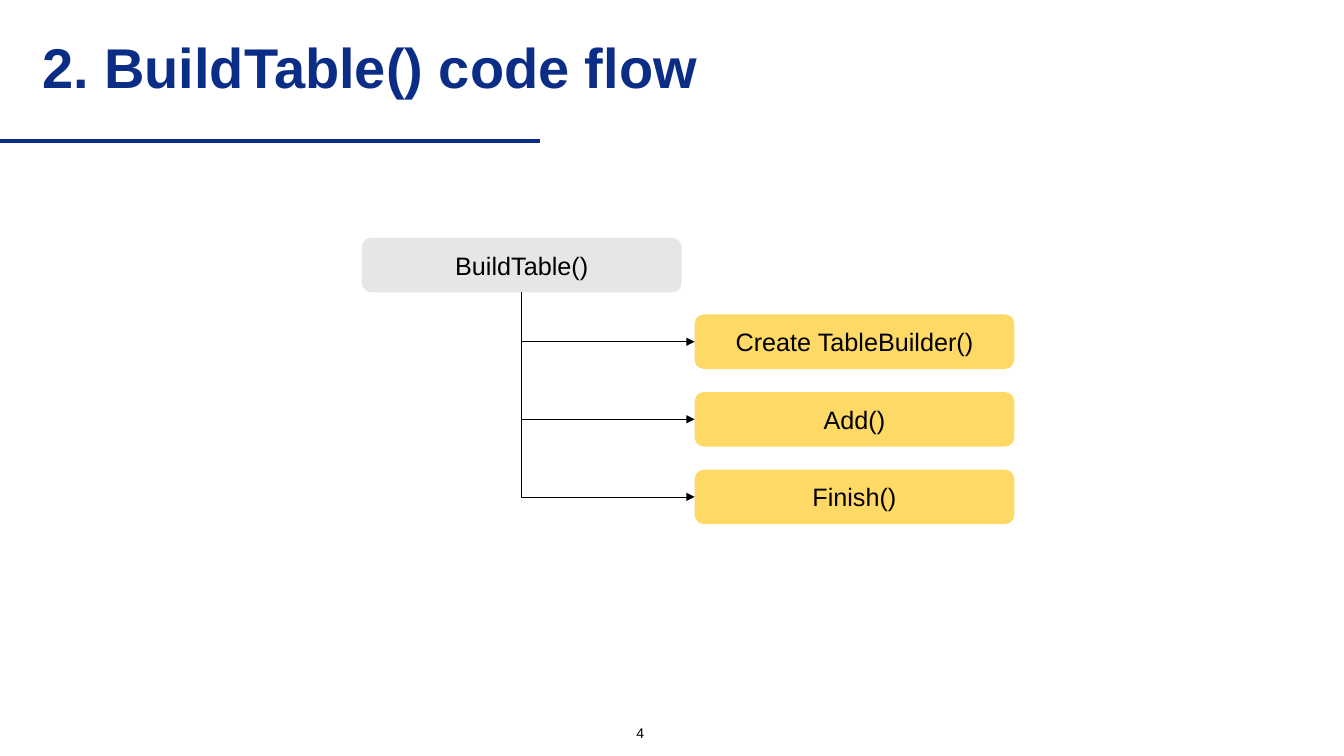
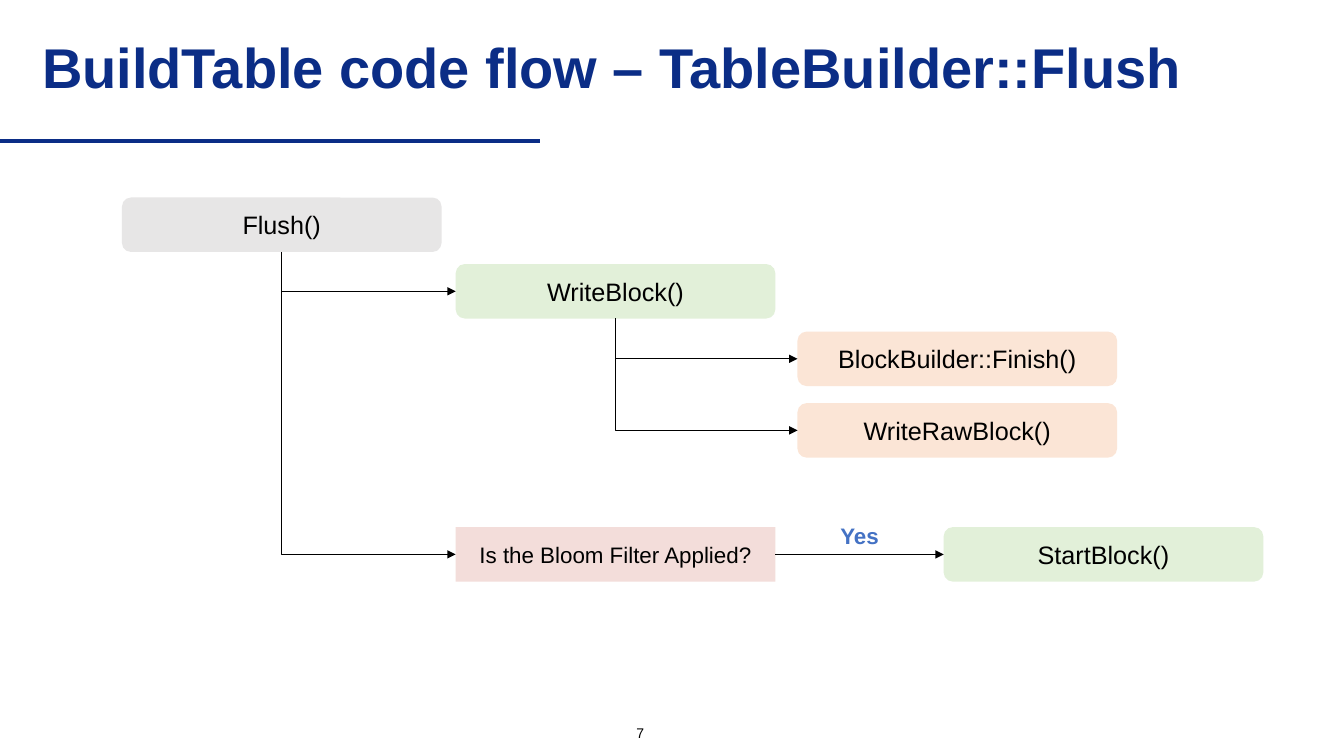
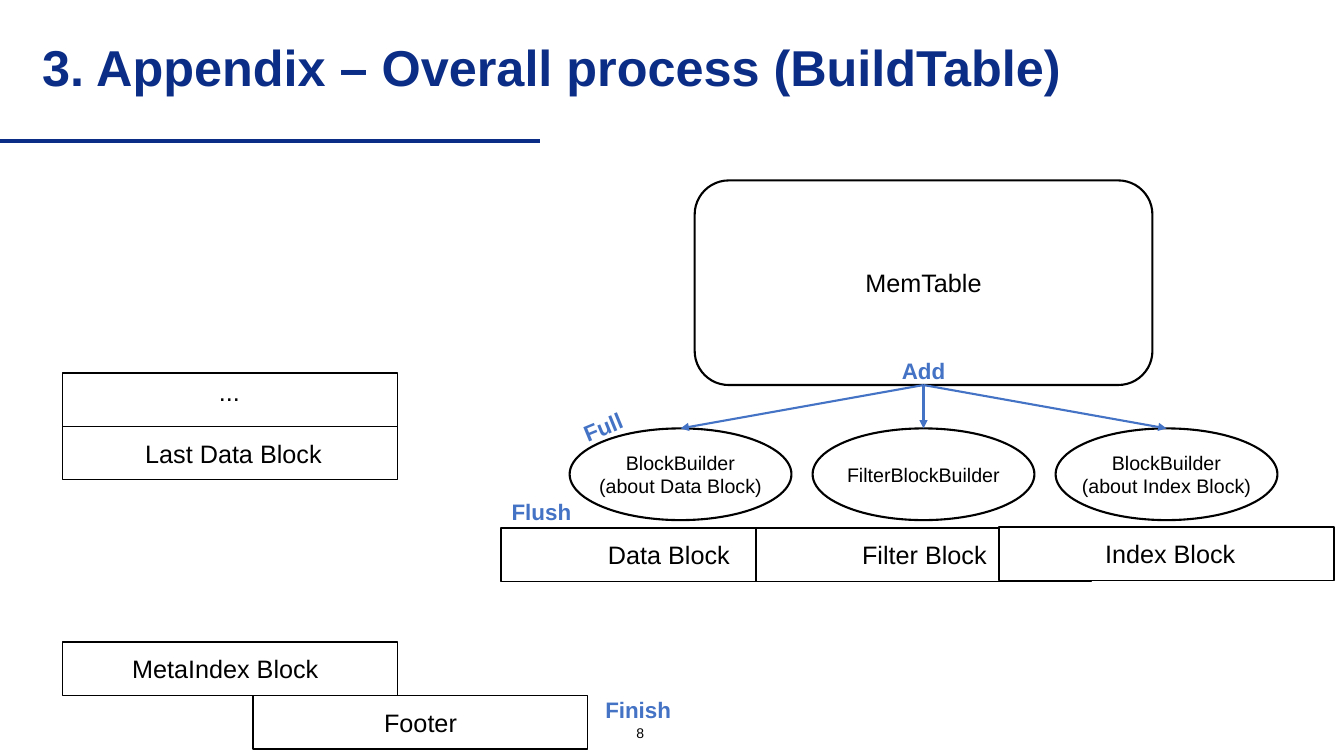
import pptx
import pptx.util
import pptx.dml.color
import pptx.enum.shapes
import pptx.enum.text
import pptx.oxml.ns

SHAPE = pptx.enum.shapes.MSO_SHAPE
CONNECTOR = pptx.enum.shapes.MSO_CONNECTOR
ALIGN = pptx.enum.text.PP_ALIGN
ANCHOR = pptx.enum.text.MSO_ANCHOR
qn = pptx.oxml.ns.qn

PX = 9144
FONT = "Arial"
NAVY, BLUE, BLACK, WHITE = "0B2D86", "4472C4", "000000", "FFFFFF"
GREY, YELLOW, GREEN, PEACH, PINK = "E7E6E6", "FFD966", "E2F0D9", "FBE5D6", "F3DDDA"
TOP, LEFT, BOTTOM, RIGHT = range(4)

STEP_SIZE = (317, 54)
BLOCK_SIZE = (332, 53)
BUILDER_SIZE = (220, 91)

BUILD_STEPS = ["Create TableBuilder()", "Add()", "Finish()"]
FLUSH_STEPS = [
    ("Flush()", 121, 196, GREY, None),
    ("WriteBlock()", 452, 262, GREEN, "Flush()"),
    ("BlockBuilder::Finish()", 791, 329, PEACH, "WriteBlock()"),
    ("WriteRawBlock()", 791, 400, PEACH, "WriteBlock()"),
]
BUILDERS = [
    "BlockBuilder\n(about Data Block)",
    "FilterBlockBuilder",
    "BlockBuilder\n(about Index Block)",
]
BLOCKS = [
    ("Data Block", 497, 524, 106, 0),
    ("Last Data Block", 62, 423, 82, 0),
    ("...", 62, 370, 155, 16),
    ("Filter Block", 750, 524, 105, 0),
    ("MetaIndex Block", 62, 637, 69, 0),
    ("Index Block", 991, 523, 105, 0),
    ("Footer", 251, 690, 130, 0),
]
PROCESS_LABELS = [
    ("Add", 884, 349, 64, 0),
    ("Full", 568, 405, 60, -22.3),
    ("Flush", 497, 489, 80, 0),
    ("Finish", 590, 685, 86, 0),
]


def px(*lengths):
    return [pptx.util.Emu(round(length * PX)) for length in lengths]


def color(code):
    return pptx.dml.color.RGBColor.from_string(code)


def write(box, text, size=18, ink=BLACK, bold=False, align=ALIGN.CENTER,
          wrap=True, spacing=None, inset=(0, 0, 0, 0)):
    frame = box.text_frame
    frame.word_wrap = wrap
    frame.vertical_anchor = ANCHOR.MIDDLE
    (frame.margin_left, frame.margin_top,
     frame.margin_right, frame.margin_bottom) = px(*inset)
    frame.text = text
    for para in frame.paragraphs:
        para.alignment = align
        if spacing:
            para.line_spacing = spacing
        for span in para.runs:
            span.font.name = FONT
            span.font.size = pptx.util.Pt(size)
            span.font.bold = bold
            span.font.color.rgb = color(ink)


def add_label(page, text, left, top, width, height=37, turn=0, **style):
    box = page.shapes.add_textbox(*px(left, top, width, height))
    box.rotation = turn
    write(box, text, **style)


def add_box(page, kind, text, place, extent, fill=None, outline=None, **style):
    box = page.shapes.add_shape(kind, *px(*place, *extent))
    box.shadow.inherit = False
    if fill:
        box.fill.solid()
        box.fill.fore_color.rgb = color(fill)
    else:
        box.fill.background()
    if outline:
        box.line.color.rgb = color(BLACK)
        box.line.width = pptx.util.Pt(outline)
    else:
        box.line.fill.background()
    write(box, text, **style)
    return box


def add_step(page, text, left, top, fill):
    return add_box(page, SHAPE.ROUNDED_RECTANGLE, text, (left, top), STEP_SIZE, fill)


def add_line(page, kind=CONNECTOR.STRAIGHT, ends=(0, 0, 0, 0), ink=BLACK, weight=0.5, arrow=True):
    line = page.shapes.add_connector(kind, *px(*ends))
    line.line.color.rgb = color(ink)
    line.line.width = pptx.util.Pt(weight)
    properties = line.element.spPr
    if arrow:
        stroke = properties.find(qn("a:ln"))
        stroke.append(stroke.makeelement(qn("a:tailEnd"), {"type": "triangle"}))
    properties.append(properties.makeelement(qn("a:effectLst"), {}))
    return line


def join(page, source, source_side, target, target_side, **style):
    line = add_line(page, **style)
    line.begin_connect(source, source_side)
    line.end_connect(target, target_side)
    return line


def branch(page, parent, child):
    line = join(page, parent, BOTTOM, child, LEFT, kind=CONNECTOR.ELBOW)
    across, down = line.width, line.height
    middle_x, middle_y = line.left + across // 2, line.top + down // 2
    line.left, line.top = middle_x - down // 2, middle_y - across // 2
    line.width, line.height = down, across
    properties = line.element.spPr
    frame = properties.find(qn("a:xfrm"))
    frame.set("rot", "16200000")
    frame.set("flipH", "1")
    properties.find(qn("a:prstGeom")).set("prst", "bentConnector2")


def add_page(deck, title, number, width, size=40):
    page = deck.slides.add_slide(deck.slide_layouts[6])
    add_line(page, ends=(0, 140, 536, 140), ink=NAVY, weight=3, arrow=False)
    add_label(page, title, 32, 24, width, 91, size=size, ink=NAVY, bold=True,
              align=ALIGN.LEFT, spacing=0.9, inset=(10, 5, 10, 5))
    add_label(page, number, 485, 711, 300, 32, size=10)
    return page


def build_table_page(deck):
    page = add_page(deck, "2. BuildTable() code flow", "4", 971)
    root = add_step(page, "BuildTable()", 359, 236, GREY)
    for row, text in enumerate(BUILD_STEPS):
        branch(page, root, add_step(page, text, 689, 312 + 77 * row, YELLOW))


def flush_page(deck):
    page = add_page(deck, "BuildTable code flow – TableBuilder::Flush", "7", 1241)
    steps = {}
    for text, left, top, fill, parent in FLUSH_STEPS:
        steps[text] = add_step(page, text, left, top, fill)
        if parent:
            branch(page, steps[parent], steps[text])
    question = add_box(page, SHAPE.RECTANGLE, "Is the Bloom Filter Applied?",
                       (452, 523), STEP_SIZE, PINK, size=16)
    branch(page, steps["Flush()"], question)
    start = add_step(page, "StartBlock()", 936, 523, GREEN)
    join(page, question, RIGHT, start, LEFT)
    add_label(page, "Yes", 823, 513, 59, size=16, ink=BLUE, bold=True)


def process_page(deck):
    page = add_page(deck, "3. Appendix – Overall process (BuildTable)", "8", 1096, size=36)
    memory = add_box(page, SHAPE.ROUNDED_RECTANGLE, "MemTable", (689, 179), (454, 203), outline=1.5)
    for column, text in enumerate(BUILDERS):
        builder = add_box(page, SHAPE.OVAL, text, (565 + 241 * column, 425), BUILDER_SIZE,
                          outline=1.5, size=14, wrap=False)
        join(page, memory, BOTTOM, builder, TOP, ink=BLUE, weight=1.5)
    for text, left, top, width, turn in PROCESS_LABELS:
        add_label(page, text, left, top, width, turn=turn, size=16, ink=BLUE, bold=True)
    for text, left, top, indent, lift in BLOCKS:
        add_box(page, SHAPE.RECTANGLE, text, (left, top), BLOCK_SIZE, WHITE, 1,
                align=ALIGN.LEFT, inset=(indent, 0, 0, lift))


def main():
    deck = pptx.Presentation()
    deck.slide_width, deck.slide_height = px(1333, 750)
    build_table_page(deck)
    flush_page(deck)
    process_page(deck)
    deck.save("out.pptx")


if __name__ == "__main__":
    main()
